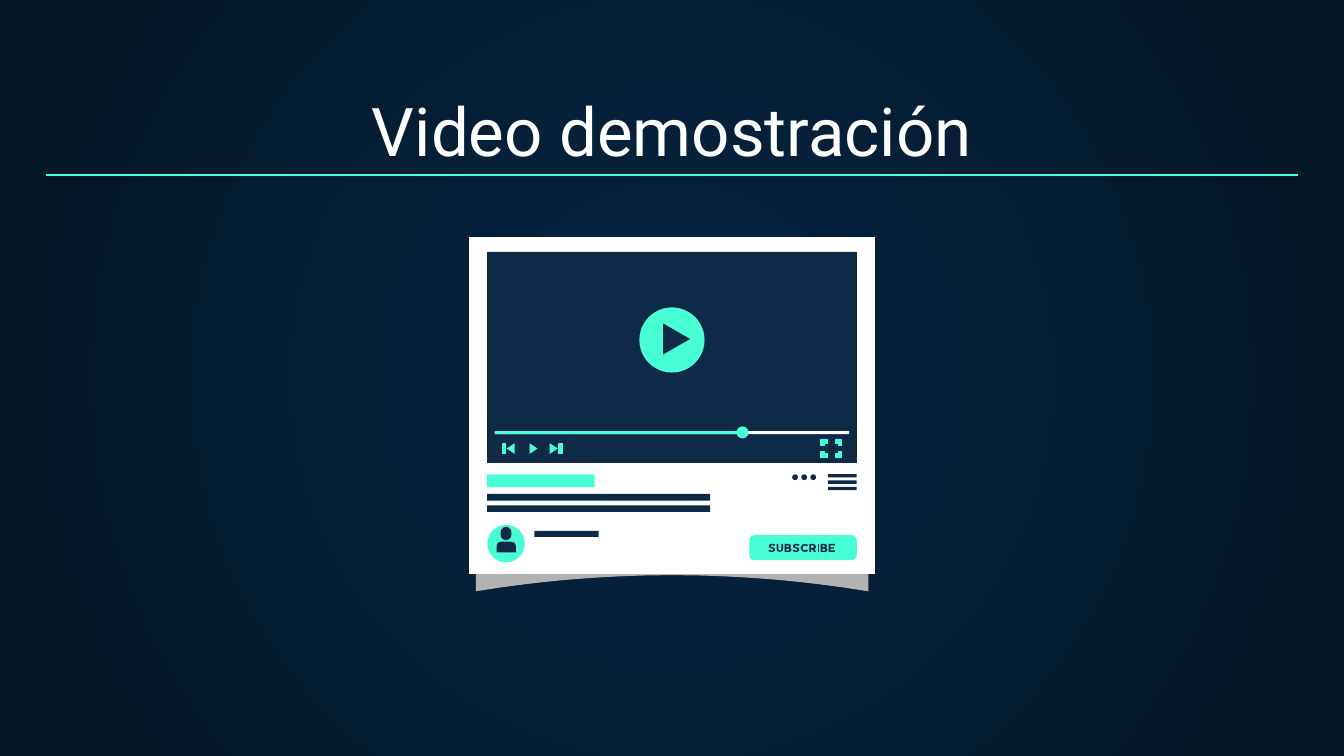
from dataclasses import dataclass

from pptx import Presentation
from pptx.dml.color import RGBColor
from pptx.enum.shapes import MSO_CONNECTOR, MSO_SHAPE as Preset
from pptx.enum.text import MSO_ANCHOR as Anchor, PP_ALIGN as Align
from pptx.oxml.ns import qn
from pptx.oxml.xmlchemy import OxmlElement
from pptx.util import Emu, Inches, Pt

COLUMNS, ROWS = 1000, 562.5
CELL = Inches(10) / COLUMNS


@dataclass(frozen=True)
class Theme:
    font: str = "Roboto"
    glow: str = "052643"
    night: str = "041523"
    navy: str = "0E2A47"
    mint: str = "48FFD5"
    white: str = "FFFFFF"
    gray: str = "B3B2B2"
    title_size: float = 36
    rule_width: float = 0.75
    icon_width: float = 2.45


@dataclass(frozen=True)
class Block:
    col: float
    row: float
    cols: float
    rows: float
    fill: str
    preset: Preset = Preset.RECTANGLE
    rounding: float | None = None


THEME = Theme()
Point = tuple[float, float]
Contour = list[Point]

GLYPHS: dict[str, list[Contour]] = {
    "S": [[(5, 0.5), (3.5, 0), (1.5, 0), (0.3, 1), (0.3, 2.2), (1.2, 3), (3.4, 3.7),
           (3.6, 4.4), (2.8, 5), (1.8, 4.9), (0.6, 4.2), (0, 5.2), (1.5, 6), (3.5, 6),
           (4.8, 5), (4.8, 3.6), (4, 2.8), (1.8, 2.2), (1.6, 1.5), (2.4, 1), (3.2, 1),
           (4.5, 1.6)]],
    "U": [[(0, 0), (0, 3.6), (0.7, 5.3), (2.5, 6), (4.3, 5.3), (5, 3.6), (5, 0), (3.7, 0),
           (3.7, 3.5), (3.3, 4.6), (2.5, 4.9), (1.7, 4.6), (1.3, 3.5), (1.3, 0)]],
    "B": [[(0, 0), (3, 0), (4.6, 0.6), (4.7, 2), (4, 2.9), (5, 3.6), (5, 5), (4.3, 5.8),
           (3, 6), (0, 6)],
          [(1.3, 1), (1.3, 2.4), (2.8, 2.4), (3.4, 1.7), (2.8, 1)],
          [(1.3, 3.5), (1.3, 5), (3, 5), (3.6, 4.2), (3, 3.5)]],
    "C": [[(5.5, 1), (4.5, 0.2), (3, 0), (1, 0.7), (0, 3), (1, 5.3), (3, 6), (4.5, 5.8),
           (5.5, 5), (4.6, 4.2), (3.2, 4.9), (1.8, 4.3), (1.4, 3), (1.8, 1.7), (3.2, 1.1),
           (4.6, 1.8)]],
    "R": [[(0, 0), (2.6, 0), (4.3, 0.6), (4.9, 2.1), (4.5, 3.4), (3.7, 4), (5, 6), (3.5, 6),
           (2.4, 4.3), (1.3, 4.3), (1.3, 6), (0, 6)],
          [(1.3, 1.1), (1.3, 3.2), (2.5, 3.2), (3.5, 2.1), (2.5, 1.1)]],
    "I": [[(0, 0), (0, 6), (1.3, 6), (1.3, 0)]],
    "E": [[(0, 0), (0, 6), (4.7, 6), (4.7, 4.9), (1.3, 4.9), (1.3, 3.5), (4.2, 3.5),
           (4.2, 2.5), (1.3, 2.5), (1.3, 1.1), (4.6, 1.1), (4.6, 0)]],
}


def cells(count: float) -> Emu:
    return Emu(round(count * CELL))


def color(code: str) -> RGBColor:
    return RGBColor.from_string(code)


def paint_background(page) -> None:
    fill = page.background.fill
    fill.gradient()
    for stop, code in zip(fill.gradient_stops, (THEME.glow, THEME.night)):
        stop.color.rgb = color(code)
    gradient = page.element.find(".//" + qn("a:gradFill"))
    gradient.remove(gradient.find(qn("a:lin")))
    circle = OxmlElement("a:path")
    circle.set("path", "circle")
    center = OxmlElement("a:fillToRect")
    for side in "ltrb":
        center.set(side, "50000")
    circle.append(center)
    gradient.find(qn("a:gsLst")).addnext(circle)


def write(box, text: str, *, size: float, code: str, anchor: Anchor, inset: float) -> None:
    frame = box.text_frame
    frame.word_wrap = True
    frame.vertical_anchor = anchor
    frame.margin_left = frame.margin_right = cells(inset)
    frame.margin_top = frame.margin_bottom = cells(inset)
    para = frame.paragraphs[0]
    para.alignment = Align.CENTER
    span = para.add_run()
    span.text = text
    span.font.name = THEME.font
    span.font.size = Pt(size)
    span.font.color.rgb = color(code)


def fill_plain(shape, code: str) -> None:
    shape.fill.solid()
    shape.fill.fore_color.rgb = color(code)
    shape.line.fill.background()


def draw_block(shapes, block: Block) -> None:
    shape = shapes.add_shape(block.preset, cells(block.col), cells(block.row),
                             cells(block.cols), cells(block.rows))
    shape.shadow.inherit = False
    fill_plain(shape, block.fill)
    if block.rounding is not None:
        shape.adjustments[0] = block.rounding


def draw_outline(shapes, contours: list[Contour], code: str, closed: bool = True) -> None:
    scaled = [[(cells(col), cells(row)) for col, row in contour] for contour in contours]
    builder = shapes.build_freeform(*scaled[0][0])
    for index, (start, *others) in enumerate(scaled):
        if index:
            builder.move_to(*start)
        builder.add_line_segments(others, close=closed)
    shape = builder.convert_to_shape()
    shape.shadow.inherit = False
    if closed:
        fill_plain(shape, code)
    else:
        shape.fill.background()
        shape.line.color.rgb = color(code)
        shape.line.width = Pt(THEME.icon_width)
        miter = OxmlElement("a:miter")
        miter.set("lim", "800000")
        shape.element.spPr.find(qn("a:ln")).append(miter)


def draw_line(shapes, start: Point, end: Point, code: str, width: float) -> None:
    line = shapes.add_connector(MSO_CONNECTOR.STRAIGHT, *map(cells, start + end))
    line.line.color.rgb = color(code)
    line.line.width = Pt(width)
    line.element.spPr.append(OxmlElement("a:effectLst"))


def draw_triangle(shapes, col: float, row: float, cols: float, rows: float, code: str) -> None:
    corners = [(col, row), (col, row + rows), (col + cols, row + rows / 2)]
    draw_outline(shapes, [corners], code)


def draw_card_shadow(shapes) -> None:
    center, half, sag, steps = 500, 146, 12, 24
    shares = [step / steps for step in range(-steps, steps + 1)]
    top = [(center + half * share, 211 + sag * share ** 2) for share in shares]
    bottom = [(center + half * share, 428 + sag * share ** 2) for share in reversed(shares)]
    draw_outline(shapes, [top + bottom], THEME.gray)


def draw_lettering(shapes, letters: str, left: float, top: float, gap: float) -> None:
    for letter in letters:
        contours = [[(left + col, top + row) for col, row in contour]
                    for contour in GLYPHS[letter]]
        draw_outline(shapes, contours, THEME.navy)
        left += max(col for col, row in GLYPHS[letter][0]) + gap


def draw_controls(shapes) -> None:
    for col, arm in ((612, 4), (625, -4)):
        for row, drop in ((328.5, 3.5), (339, -3.5)):
            corner = [(col, row + drop), (col, row), (col + arm, row)]
            draw_outline(shapes, [corner], THEME.mint, closed=False)
    for col, cols in ((383, -6), (394, 6), (409, 6)):
        draw_triangle(shapes, col, 329.75, cols, 8, THEME.mint)
    for col in (375, 417):
        draw_line(shapes, (col, 329.75), (col, 337.75), THEME.mint, THEME.icon_width)


def draw_player(page) -> None:
    shapes = page.shapes.add_group_shape().shapes
    navy, mint, white = THEME.navy, THEME.mint, THEME.white
    draw_card_shadow(shapes)
    blocks = [
        Block(349, 176.5, 302, 250.5, white),
        Block(362.5, 187.5, 275, 157, navy),
        Block(368.25, 320.75, 263.5, 2.25, white),
        Block(368.25, 320.75, 184.5, 2.25, mint),
        Block(475.75, 228.75, 48.5, 48.5, mint, Preset.OVAL),
        Block(548, 317.25, 9, 9, mint, Preset.OVAL),
        Block(362.5, 353, 80, 9.5, mint),
        *[Block(362.5, row, 166, 5, navy) for row in (367.5, 376)],
        Block(397.5, 395, 48, 4.5, navy),
        Block(557.5, 398.25, 80, 18.5, mint, Preset.ROUNDED_RECTANGLE, 0.2),
        *[Block(616, 352.75 + 4.75 * bar, 21.5, 2.5, navy) for bar in range(3)],
        *[Block(589.5 + 6.75 * dot, 353, 4.25, 4.25, navy, Preset.OVAL) for dot in range(3)],
        Block(362.5, 390.5, 28, 28, mint, Preset.OVAL),
        Block(372.5, 392, 8, 10, navy, Preset.ROUNDED_RECTANGLE, 0.5),
        Block(369.5, 403, 14.5, 8, navy, Preset.ROUND_2_SAME_RECTANGLE, 0.45),
    ]
    for block in blocks:
        draw_block(shapes, block)
    draw_triangle(shapes, 493.5, 240.75, 20, 23, navy)
    draw_lettering(shapes, "SUBSCRIBE", left=571.75, top=404.75, gap=1)
    draw_controls(shapes)


def main() -> None:
    deck = Presentation()
    deck.slide_width, deck.slide_height = cells(COLUMNS), cells(ROWS)
    page = deck.slides.add_slide(deck.slide_layouts.get_by_name("Title Only"))
    paint_background(page)
    title = page.shapes.title
    title.left, title.top, title.width, title.height = map(cells, (34, 70.5, 932, 66))
    write(title, "Video demostración", size=THEME.title_size, code=THEME.white,
          anchor=Anchor.BOTTOM, inset=10)
    draw_player(page)
    draw_line(page.shapes, (34, 130.25), (966, 130.25), THEME.mint, THEME.rule_width)
    deck.save("out.pptx")


if __name__ == "__main__":
    main()
